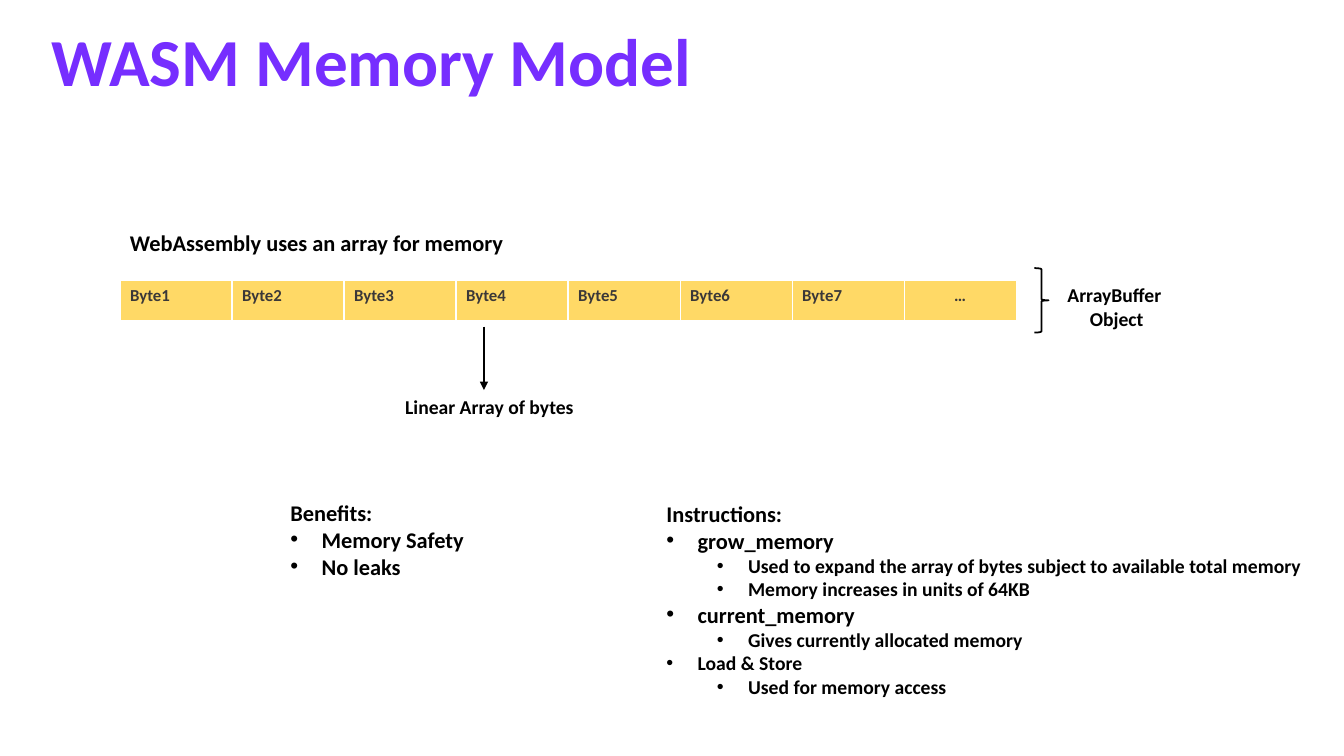
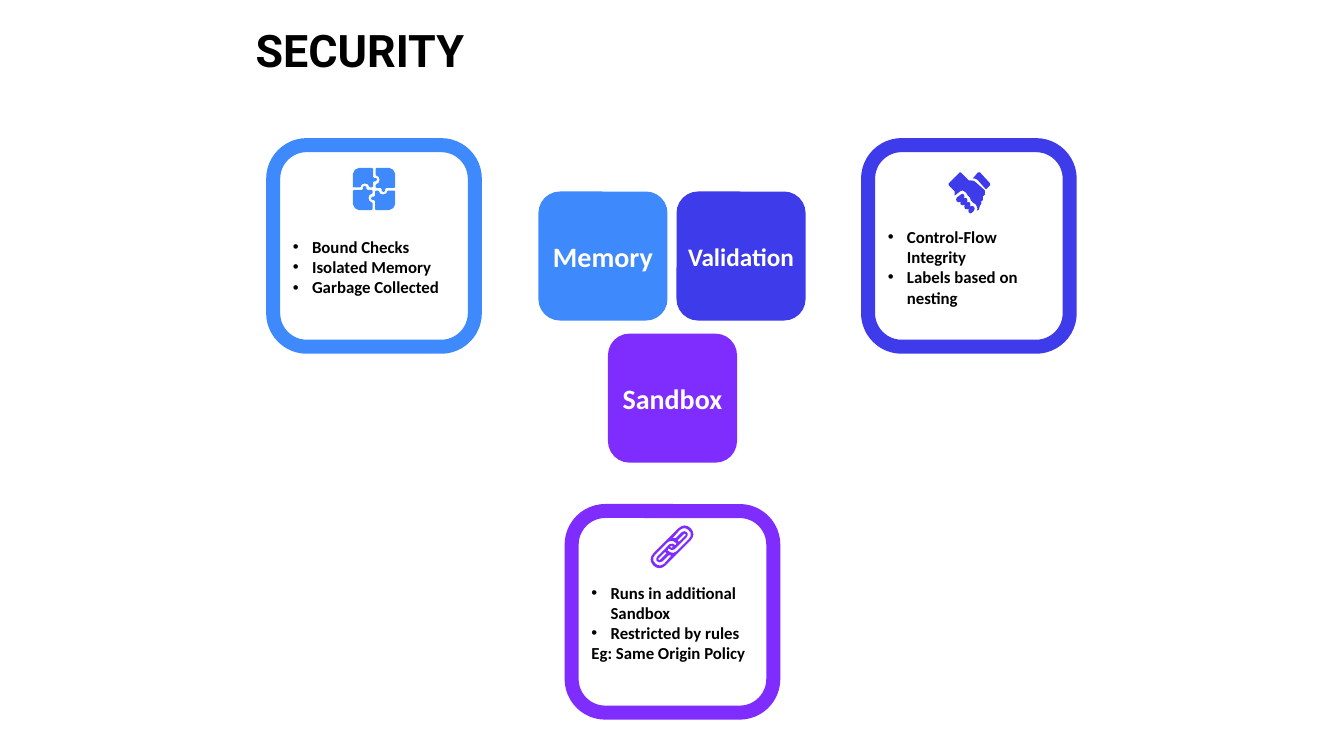
from dataclasses import dataclass

from pptx import Presentation
from pptx.dml.color import RGBColor
from pptx.enum.shapes import MSO_CONNECTOR, MSO_SHAPE
from pptx.enum.text import MSO_ANCHOR, MSO_AUTO_SIZE, PP_ALIGN
from pptx.oxml.ns import qn
from pptx.util import Inches, Pt
from lxml import etree

LEFT, CENTER = PP_ALIGN.LEFT, PP_ALIGN.CENTER
TOP, MIDDLE = MSO_ANCHOR.TOP, MSO_ANCHOR.MIDDLE
NO_FIT = MSO_AUTO_SIZE.NONE
ROUNDED, BRACE = MSO_SHAPE.ROUNDED_RECTANGLE, MSO_SHAPE.RIGHT_BRACE
STRAIGHT = MSO_CONNECTOR.STRAIGHT
PLAIN = None  # level of a paragraph without a bullet


@dataclass(frozen=True)
class Theme:
    body_font: str = "Calibri"
    heading_font: str = "Roboto"
    black: str = "000000"
    white: str = "FFFFFF"
    title_violet: str = "762EFF"
    byte_text: str = "3B3838"
    byte_fill: str = "FFD966"
    blue: str = "3E89FC"
    indigo: str = "3E3BEA"
    violet: str = "7F2CFF"
    title: int = 48
    heading: int = 32
    tile: int = 20
    tile_long: int = 18
    lead: int = 16
    detail: int = 14
    small: int = 12


theme = Theme()


def write_text(frame, rows, color=theme.black, align=LEFT, font=theme.body_font,
               hang=0.31, anchor=TOP, wrap=True):
    """Fill a frame with (text, size, level) rows; levels 0 and up are bulleted."""
    frame.word_wrap = wrap
    frame.auto_size = NO_FIT
    frame.vertical_anchor = anchor
    for index, (text, size, level) in enumerate(rows):
        para = frame.paragraphs[0] if index == 0 else frame.add_paragraph()
        props = para._p.get_or_add_pPr()
        if level is PLAIN:
            props.set("marL", "0")
            props.set("indent", "0")
            etree.SubElement(props, qn("a:buNone"))
        else:
            para.level = level
            props.set("marL", str(Inches(hang + 0.5 * level)))
            props.set("indent", str(-Inches(hang)))
            etree.SubElement(props, qn("a:buFont"), typeface="Arial")
            etree.SubElement(props, qn("a:buChar"), char="•")
        para.alignment = align
        para.space_before = Pt(0)
        span = para.add_run()
        span.text = text
        span.font.name = font
        span.font.size = Pt(size)
        span.font.bold = True
        span.font.color.rgb = RGBColor.from_string(color)


def draw_icon(page, left, top, contours, color):
    """Draw closed contours, given in hundredths of an inch, as one shape."""
    rounded = [[(round(10 * x), round(10 * y)) for x, y in contour] for contour in contours]
    builder = page.shapes.build_freeform(*rounded[0][0], scale=Inches(1) / 1000)
    for index, (start, *rest) in enumerate(rounded):
        if index:
            builder.move_to(*start)
        builder.add_line_segments(rest, close=True)
    icon = builder.convert_to_shape(Inches(left), Inches(top))
    icon.shadow.inherit = False
    icon.fill.solid()
    icon.fill.fore_color.rgb = RGBColor.from_string(color)
    icon.line.fill.background()


deck = Presentation()
deck.slide_width, deck.slide_height = Inches(13.33), Inches(7.5)
TWO_CONTENT, TITLE_ONLY = deck.slide_layouts[3], deck.slide_layouts[5]

# Memory model
page = deck.slides.add_slide(TWO_CONTENT)
title, benefits, instructions = page.placeholders
placeholder_content = [
    (title, (0.41, 0.14, 9.26, 0.91), theme.title_violet,
     [("WASM Memory Model", theme.title, PLAIN)]),
    (benefits, (2.78, 4.9, 2.37, 0.91), theme.black, [
        ("Benefits:", theme.lead, PLAIN),
        ("Memory Safety", theme.lead, 0),
        ("No leaks", theme.lead, 0),
    ]),
    (instructions, (6.51, 4.91, 6.52, 2.09), theme.black, [
        ("Instructions:", theme.lead, PLAIN),
        ("grow_memory", theme.lead, 0),
        ("Used to expand the array of bytes subject to available total memory", theme.detail, 1),
        ("Memory increases in units of 64KB", theme.detail, 1),
        ("current_memory", theme.lead, 0),
        ("Gives currently allocated memory", theme.detail, 1),
        ("Load & Store", theme.detail, 0),
        ("Used for memory access", theme.detail, 1),
    ]),
]
for holder, place, color, rows in placeholder_content:
    holder.left, holder.top, holder.width, holder.height = map(Inches, place)
    write_text(holder.text_frame, rows, color)

labels = [
    ((1.19, 2.22, 3.96, 0.37), ["WebAssembly uses an array for memory"], theme.lead, LEFT),
    ((3.92, 3.87, 1.88, 0.34), ["Linear Array of bytes"], theme.detail, LEFT),
    ((10.48, 2.76, 1.19, 0.57), ["ArrayBuffer ", "Object"], theme.detail, CENTER),
]
for place, lines, size, align in labels:
    box = page.shapes.add_textbox(*map(Inches, place))
    write_text(box.text_frame, [(line, size, PLAIN) for line in lines], align=align, wrap=False)

byte_names = [f"Byte{number}" for number in range(1, 8)] + ["…"]
byte_table = page.shapes.add_table(
    1, len(byte_names), Inches(1.19), Inches(2.78), Inches(8.89), Inches(0.41)).table
byte_table.first_row = byte_table.horz_banding = False
for cell, name in zip(byte_table.iter_cells(), byte_names):
    write_text(cell.text_frame, [(name, theme.small, PLAIN)], theme.byte_text,
               CENTER if name == "…" else LEFT)
    cell.fill.solid()
    cell.fill.fore_color.rgb = RGBColor.from_string(theme.byte_fill)
    cell_props = cell._tc.get_or_add_tcPr()
    for position, (side, weight) in enumerate([("L", 1), ("R", 1), ("T", 1), ("B", 3)]):
        border = etree.Element(qn(f"a:ln{side}"), w=str(Pt(weight)))
        border_fill = etree.SubElement(border, qn("a:solidFill"))
        etree.SubElement(border_fill, qn("a:srgbClr"), val=theme.white)
        cell_props.insert(position, border)

brace = page.shapes.add_shape(BRACE, Inches(10.26), Inches(2.66), Inches(0.14), Inches(0.64))
brace.shadow.inherit = False
brace.fill.background()
arrow = page.shapes.add_connector(
    STRAIGHT, Inches(4.8), Inches(3.24), Inches(4.8), Inches(3.87))
for stroke in (brace, arrow):
    stroke.line.color.rgb = RGBColor.from_string(theme.black)
    stroke.line.width = Pt(1.25)
etree.SubElement(arrow.line._get_or_add_ln(), qn("a:tailEnd"), type="triangle")
etree.SubElement(arrow._element.spPr, qn("a:effectLst"))

# Security
page = deck.slides.add_slide(TITLE_ONLY)
title = page.shapes.title
title.left, title.top, title.width, title.height = map(Inches, (1.16, 0.18, 4.82, 0.64))
write_text(title.text_frame, [("SECURITY", theme.heading, PLAIN)], align=CENTER,
           font=theme.heading_font)

cards = [
    (2.71, 1.44, theme.blue, 0.05,
     [("Bound Checks", 0), ("Isolated Memory", 0), ("Garbage Collected", 0)]),
    (8.61, 1.44, theme.indigo, 0.05,
     [("Control-Flow Integrity", 0), ("Labels based on nesting", 0)]),
    (5.67, 5.07, theme.violet, 0.25,
     [("Runs in additional Sandbox", 0), ("Restricted by rules", 0),
      ("Eg: Same Origin Policy", PLAIN)]),
]
for left, top, color, bottom_margin, points in cards:
    card = page.shapes.add_shape(ROUNDED, Inches(left), Inches(top), Inches(2), Inches(2))
    card.shadow.inherit = False
    card.fill.solid()
    card.fill.fore_color.rgb = RGBColor.from_string(theme.white)
    card.line.color.rgb = RGBColor.from_string(color)
    card.line.width = Pt(10)
    card.text_frame.margin_top = Inches(0.47)
    card.text_frame.margin_bottom = Inches(bottom_margin)
    write_text(card.text_frame, [(text, theme.small, level) for text, level in points],
               hang=0.19, anchor=MIDDLE)

tiles = [
    (5.34, 1.9, theme.blue, "Memory", theme.tile),
    (6.71, 1.9, theme.indigo, "Validation", theme.tile_long),
    (6.03, 3.31, theme.violet, "Sandbox", theme.tile),
]
for left, top, color, name, size in tiles:
    tile = page.shapes.add_shape(ROUNDED, Inches(left), Inches(top), Inches(1.28), Inches(1.28))
    tile.shadow.inherit = False
    tile.fill.solid()
    tile.fill.fore_color.rgb = RGBColor.from_string(color)
    tile.line.fill.background()
    frame = tile.text_frame
    frame.margin_left = frame.margin_right = Inches(0.04)
    frame.margin_top = frame.margin_bottom = Inches(0.04)
    write_text(frame, [(name, size, PLAIN)], theme.white, CENTER, anchor=MIDDLE)

# One puzzle piece around the icon centre, turned a quarter four times
puzzle_piece = [
    (-19, -1.5), (-14, -1.5), (-13, -2.5), (-12, -4.5), (-9, -5.5), (-6, -4.5), (-5, -2.5),
    (-4, -1.5), (-2, -1.5), (-1, -2.5), (-1, -6.5), (0, -7.5), (2, -7.5), (3, -9.5),
    (2, -11), (0, -11), (-1, -12), (-1, -20), (-2, -21), (-15, -21), (-19, -19),
    (-21, -15), (-21, -2.5), (-20, -1.5),
]
for turn in range(4):
    draw_icon(page, 3.71, 1.875, [puzzle_piece], theme.blue)
    puzzle_piece = [(-y, x) for x, y in puzzle_piece]

handshake = [
    [(42, 12), (32, 1), (30, 1), (25, 7), (28, 7.5), (30, 9), (38, 18), (42, 14)],
    [(28, 11), (26, 9.5), (23, 9), (21, 9), (13, 1), (12, 1), (1, 12), (1, 14), (7, 20),
     (7, 24), (11, 21), (13, 19.5), (15, 19), (18, 21), (20, 24), (22, 26), (23, 29),
     (25, 31), (28, 33), (29, 35), (29.5, 37), (29, 39), (31, 38), (32, 34), (33.5, 32),
     (33, 30), (35, 28.5), (35, 25), (37, 23), (37, 19)],
    [(22, 35), (22.5, 33), (22, 31), (20.5, 30.3), (19, 31), (19.5, 29), (19, 27),
     (17.5, 26.3), (16, 27), (16.5, 25), (16, 23), (14.5, 22.3), (13, 23), (9, 26),
     (8.3, 28), (9, 30), (11, 30.7), (13, 30), (12.4, 32), (13, 33), (15, 33.7), (17, 33),
     (16.4, 35), (17, 37), (19, 37.7), (21, 37), (20.4, 39), (21, 41), (22.5, 41.7),
     (24, 41), (26, 39), (26.7, 37), (26, 35), (24, 34.3)],
]
for part in handshake:
    draw_icon(page, 9.4, 1.7, [part], theme.indigo)

# The chain's holes repeat under a half turn of its 43-unit square
chain_rim = [
    (40, 3), (37, 1), (34, 0.3), (31, 1), (28, 3), (3, 28), (1, 31), (0.3, 34), (1, 37),
    (3, 40), (6, 42), (9, 42.7), (12, 42), (15, 40), (40, 15), (42, 12), (42.7, 9), (42, 6),
]
chain_holes = [
    [(14, 38), (11.5, 39.5), (9.5, 40), (7, 39.5), (5, 38), (3, 35.5), (3, 32), (5, 29),
     (17, 17), (20, 15.5), (23, 16), (26, 18), (25, 20), (22, 18.3), (19, 19), (7, 31),
     (6, 33), (6, 35), (7, 36), (9, 37), (12, 36), (18, 30), (21, 30)],
    [(16, 28), (10, 34), (9, 34.7), (8, 34), (8, 33), (14, 27), (15.5, 27)],
]
turned_holes = [[(43 - x, 43 - y) for x, y in hole] for hole in chain_holes]
chain_center = [(22, 22), (21, 22.5), (20, 22), (20, 21), (21, 20.5), (22, 21)]
draw_icon(page, 6.45, 5.21, [chain_rim, *chain_holes, *turned_holes, chain_center], theme.violet)

deck.save("out.pptx")
